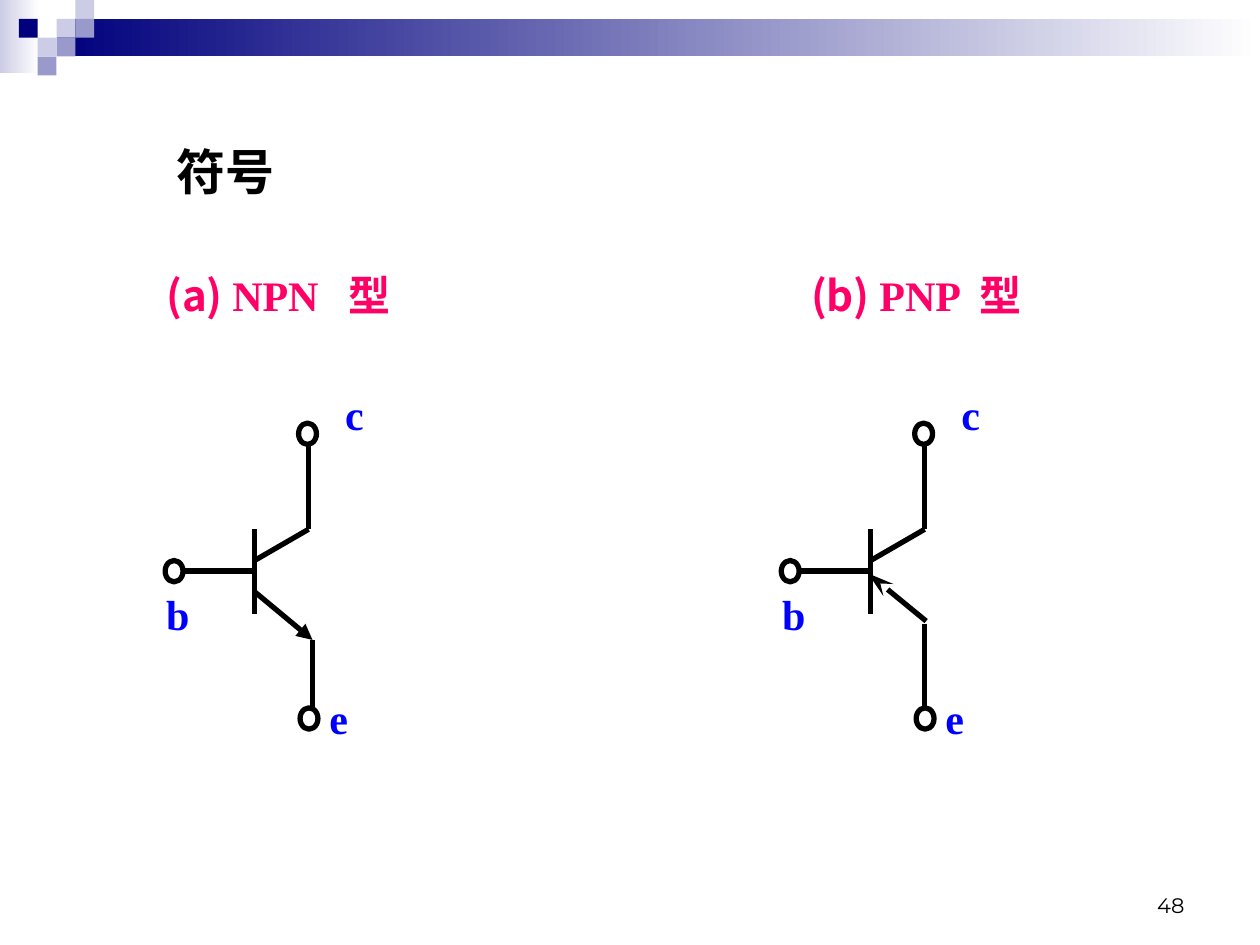
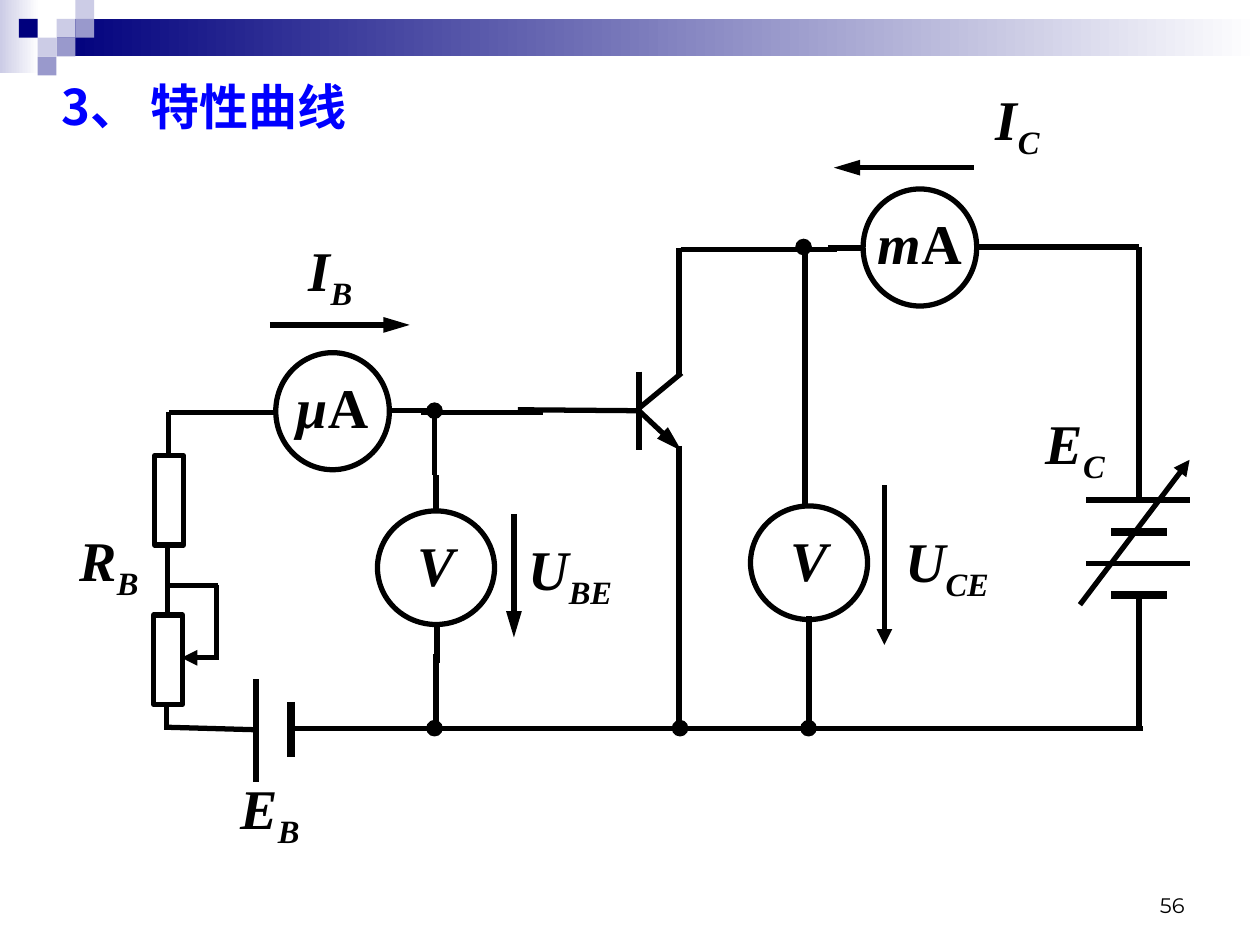
from dataclasses import dataclass

from lxml.etree import SubElement
from pptx import Presentation
from pptx.dml.color import RGBColor
from pptx.enum.shapes import MSO_CONNECTOR, MSO_SHAPE as Geo
from pptx.enum.text import MSO_ANCHOR as Anchor, MSO_AUTO_SIZE, PP_ALIGN as Align
from pptx.oxml.ns import qn
from pptx.util import Cm, Pt

BLACK = RGBColor(0x00, 0x00, 0x00)
WHITE = RGBColor(0xFF, 0xFF, 0xFF)
NAVY = RGBColor(0x00, 0x00, 0x7D)
MID = RGBColor(0x99, 0x99, 0xCC)
LIGHT = RGBColor(0xCC, 0xCC, 0xE6)
BLUE = RGBColor(0x00, 0x00, 0xFF)
PINK = RGBColor(0xFF, 0x00, 0x66)
SERIF, SANS, NUMERAL = "Times New Roman", "Noto Sans CJK SC", "Montserrat"
TILE = 0.38  # side of the corner squares, cm


@dataclass(frozen=True)
class Box:
    """Place and size in cm."""
    x: float
    y: float
    w: float
    h: float

    def lengths(self) -> tuple:
        return Cm(self.x), Cm(self.y), Cm(self.w), Cm(self.h)


@dataclass(frozen=True)
class Wire:
    """Straight line in cm; head is an arrow type, reach its length."""
    x1: float
    y1: float
    x2: float
    y2: float
    width: float = 3
    head: str = ""
    reach: str = "med"


@dataclass(frozen=True)
class Quantity:
    """Italic symbol with a subscript."""
    symbol: str
    sub: str
    x: float
    y: float
    w: float


@dataclass(frozen=True)
class Meter:
    box: Box
    prefix: str
    unit: str = ""


# ---- drawing helpers ----
def draw_shape(s, geo, box: Box, fill=None, line=None, width: float = 3):
    sp = s.shapes.add_shape(geo, *box.lengths())
    sp.shadow.inherit = False
    if fill is None:
        sp.fill.background()
    else:
        sp.fill.solid()
        sp.fill.fore_color.rgb = fill
    if line is None:
        sp.line.fill.background()
    else:
        sp.line.color.rgb = line
        sp.line.width = Pt(width)
    return sp


def draw_gradient(s, box: Box, start: RGBColor) -> None:
    sp = draw_shape(s, Geo.RECTANGLE, box)
    sp.fill.gradient()
    sp.fill.gradient_angle = 0
    for stop, color in zip(sp.fill.gradient_stops, (start, WHITE)):
        stop.color.rgb = color


def draw_wire(s, wire: Wire, dx: float = 0) -> None:
    c = s.shapes.add_connector(MSO_CONNECTOR.STRAIGHT, Cm(wire.x1 + dx), Cm(wire.y1),
                               Cm(wire.x2 + dx), Cm(wire.y2))
    c.line.color.rgb = BLACK
    c.line.width = Pt(wire.width)
    sp_pr = c.element.spPr
    if wire.head:
        SubElement(sp_pr.find(qn("a:ln")), qn("a:tailEnd"),
                   type=wire.head, w="med", len=wire.reach)
    SubElement(sp_pr, qn("a:effectLst"))


def format_text(tf, size, color, font=None, bold=True, italic=None,
                align=Align.LEFT, anchor=Anchor.MIDDLE, wrap=False) -> None:
    tf.word_wrap = wrap
    tf.auto_size = MSO_AUTO_SIZE.NONE
    tf.vertical_anchor = anchor
    p = tf.paragraphs[0]
    p.alignment = align
    p.space_before = Pt(0)
    f = p.font
    f.size, f.bold, f.italic, f.color.rgb = Pt(size), bold, italic, color
    if font:
        f.name = font


def draw_text(s, box: Box, text: str, size, color, font=None, **style):
    tf = s.shapes.add_textbox(*box.lengths()).text_frame
    p = tf.paragraphs[0]
    if text:
        p.add_run().text = text
    format_text(tf, size, color, font, **style)
    return p


def draw_quantity(s, q: Quantity) -> None:
    p = draw_text(s, Box(q.x, q.y, q.w, 1.6), q.symbol, 32, BLACK, SERIF,
                  italic=True, align=Align.CENTER)
    r = p.add_run()
    r.text = q.sub
    r.font._element.set("baseline", "-25000")


def draw_meter(s, meter: Meter) -> None:
    b = meter.box
    draw_shape(s, Geo.OVAL, b, line=BLACK)
    p = draw_text(s, Box(b.x, b.y + 0.28, b.w, 1.6), "", 32, BLACK, SERIF,
                  align=Align.CENTER)
    for text, italic in ((meter.prefix, True), (meter.unit, False)):
        if text:
            r = p.add_run()
            r.text, r.font.italic = text, italic


def new_slide(prs, title: str, box: Box, number: int, color, font, anchor):
    s = prs.slides.add_slide(prs.slide_layouts[5])
    # Corner squares and top band
    draw_gradient(s, Box(0, 0, 0.79, 1.47), LIGHT)
    draw_gradient(s, Box(3 * TILE, TILE, 24.26, 0.76), NAVY)
    for col, row, fill in ((3, 1, LIGHT), (4, 0, LIGHT), (4, 1, MID), (2, 2, LIGHT),
                           (1, 1, NAVY), (3, 2, MID), (2, 3, MID)):
        draw_shape(s, Geo.RECTANGLE, Box(col * TILE, row * TILE, TILE, TILE), fill)
    # Page number
    draw_text(s, Box(18.21, 17.35, 5.92, 1.27), str(number), 12, BLACK, NUMERAL,
              bold=False, align=Align.RIGHT, anchor=Anchor.BOTTOM, wrap=True)
    # Title, in front of the band
    sp = s.shapes.title
    sp.left, sp.top, sp.width, sp.height = box.lengths()
    sp.text_frame.text = title
    format_text(sp.text_frame, 28, color, font, anchor=anchor, wrap=True)
    s.shapes.element.append(sp.element)
    return s


# ---- slide: transistor symbols ----
SYMBOL_WIRES = (
    Wire(5.13, 10.67, 5.13, 12.37),
    Wire(5.13, 11.3, 6.22, 10.67),
    Wire(6.22, 10.67, 6.22, 8.76),
    Wire(5.13, 11.51, 3.68, 11.51),
)
NPN_EMITTER = (Wire(5.11, 11.91, 6.3, 12.9, head="triangle"),
               Wire(6.3, 12.9, 6.3, 14.63))
PNP_EMITTER = (Wire(6.25, 12.52, 5.08, 11.56, head="stealth", reach="lg"),
               Wire(6.22, 12.57, 6.22, 14.27))
TERMINALS = ((3.33, 11.3), (6.02, 8.53), (6.05, 14.27))
TERMINAL_NAMES = (("c", Box(6.71, 7.7, 1.45, 1.27)), ("b", Box(3.1, 11.73, 1.19, 1.27)),
                  ("e", Box(6.39, 13.84, 1.09, 1.27)))


def draw_symbol(s, emitter: tuple, dx: float) -> None:
    for wire in SYMBOL_WIRES + emitter:
        draw_wire(s, wire, dx)
    for x, y in TERMINALS:
        draw_shape(s, Geo.OVAL, Box(x + dx, y, 0.36, 0.43), WHITE, BLACK)
    for name, b in TERMINAL_NAMES:
        draw_text(s, Box(b.x + dx, b.y, b.w, b.h), name, 24, BLUE, SERIF)


def draw_heading(s, x: float, width: float, tab: float, parts: tuple) -> None:
    p = draw_text(s, Box(x, 5.31, width, 1.27), "", 24, PINK,
                  anchor=Anchor.TOP, wrap=True)
    tabs = SubElement(p._p.get_or_add_pPr(), qn("a:tabLst"))
    SubElement(tabs, qn("a:tab"), pos=str(Cm(tab)), algn="l")
    p._p.pPr.insert_element_before(tabs, "a:defRPr")
    for text, font in parts:
        r = p.add_run()
        r.text, r.font.name = text, font


def symbols_slide(prs) -> None:
    s = new_slide(prs, "符号", Box(3.3, 2.72, 3.43, 1.45), 48, BLACK, SERIF, Anchor.TOP)
    draw_heading(s, 3.1, 5.59, 3.68, (("(a) ", SANS), ("NPN\t型", SERIF)))
    draw_heading(s, 16.1, 5.21, 3.4, (("(b) ", SANS), ("PNP\t", SERIF), ("型", SANS)))
    draw_symbol(s, NPN_EMITTER, 0)
    draw_symbol(s, PNP_EMITTER, 12.42)


# ---- slide: measuring circuit ----
CIRCUIT_WIRES = (
    # Base resistors and slider
    Wire(3.4, 9.19, 3.4, 8.31), Wire(3.38, 12.4, 3.38, 11), Wire(3.35, 14.71, 3.35, 14.17),
    Wire(3.38, 11.81, 4.39, 11.81), Wire(4.37, 11.79, 4.37, 13.31),
    Wire(4.34, 13.26, 3.66, 13.26, head="triangle"),
    # Base battery
    Wire(5.16, 13.69, 5.16, 15.77), Wire(5.87, 14.15, 5.87, 15.27, 4.5),
    Wire(3.35, 14.66, 5.13, 14.71),
    # Base line
    Wire(4.85, 8.31, 3.4, 8.31), Wire(5.54, 8.31, 4.85, 8.31), Wire(7.9, 8.28, 8.64, 8.28),
    Wire(8.48, 8.31, 10.95, 8.31), Wire(10.44, 8.26, 12.93, 8.28),
    # Base voltmeter leads
    Wire(8.76, 9.58, 8.76, 8.23), Wire(8.79, 10.29, 8.79, 9.58),
    Wire(8.81, 12.62, 8.81, 13.36), Wire(8.79, 13.18, 8.79, 14.76),
    # Transistor
    Wire(12.88, 7.49, 12.88, 9.07), Wire(12.88, 8.23, 13.74, 7.52),
    Wire(12.88, 8.28, 13.74, 9.09, head="triangle", reach="lg"),
    Wire(13.69, 5, 13.69, 7.57), Wire(13.69, 8.99, 13.69, 14.78),
    # Collector line and voltmeter leads
    Wire(13.72, 5.03, 16.87, 5.03), Wire(17.37, 5, 16.69, 5),
    Wire(19.74, 4.98, 20.47, 4.98), Wire(20.32, 4.98, 22.96, 4.98),
    Wire(16.23, 5.03, 16.23, 10.16), Wire(16.31, 12.42, 16.31, 14.78),
    # Collector supply and common line
    Wire(22.96, 10.08, 22.96, 4.98), Wire(22.96, 12.04, 22.96, 14.68),
    Wire(5.84, 14.68, 23.04, 14.68), Wire(21.77, 12.19, 23.98, 9.27, head="triangle"),
    # Current and voltage directions
    Wire(5.44, 6.55, 8.26, 6.55, head="triangle", reach="lg"),
    Wire(19.63, 3.38, 16.81, 3.38, head="triangle", reach="lg"),
    Wire(10.36, 10.36, 10.36, 12.85, head="triangle", reach="lg"),
    Wire(17.83, 9.78, 17.83, 13, head="triangle"),
)
RESISTORS = (Box(3.12, 9.19, 0.58, 1.8), Box(3.1, 12.4, 0.58, 1.8))
METERS = (
    Meter(Box(17.4, 3.81, 2.29, 2.36), "m", "A"),
    Meter(Box(5.56, 7.11, 2.29, 2.36), "μ", "A"),
    Meter(Box(7.61, 10.3, 2.36, 2.29), "V"),
    Meter(Box(15.13, 10.2, 2.36, 2.29), "V"),
)
QUANTITIES = (
    Quantity("I", "C", 19.79, 1.68, 1.45), Quantity("I", "B", 5.94, 4.72, 1.45),
    Quantity("U", "CE", 17.86, 10.59, 2.46), Quantity("U", "BE", 10.34, 10.74, 2.31),
    Quantity("R", "B", 1.32, 10.57, 1.75), Quantity("E", "C", 20.8, 8.2, 1.75),
    Quantity("E", "B", 4.57, 15.57, 1.75),
)
JUNCTIONS = ((8.61, 8.13), (16.05, 4.83), (8.61, 14.53), (13.56, 14.53), (16.15, 14.53))


def circuit_slide(prs) -> None:
    s = new_slide(prs, "3、 特性曲线", Box(0.99, 1.4, 6.45, 1.45), 56, BLUE, SANS,
                  Anchor.MIDDLE)
    for box in RESISTORS:
        draw_shape(s, Geo.RECTANGLE, box, line=BLACK)
    for wire in CIRCUIT_WIRES:
        draw_wire(s, wire)
    # Supply plates alternate long and short
    for i in range(4):
        y = 10.08 + 0.64 * i
        draw_wire(s, Wire(23.52, y, 22.4, y, 4.5) if i % 2 else Wire(23.98, y, 21.89, y))
    for meter in METERS:
        draw_meter(s, meter)
    for q in QUANTITIES:
        draw_quantity(s, q)
    for x, y in JUNCTIONS:
        draw_shape(s, Geo.OVAL, Box(x, y, 0.3, 0.3), BLACK, BLACK, 1)


def main() -> None:
    prs = Presentation()
    prs.slide_width, prs.slide_height = Cm(25.4), Cm(19.05)
    symbols_slide(prs)
    circuit_slide(prs)
    prs.save("out.pptx")


if __name__ == "__main__":
    main()
